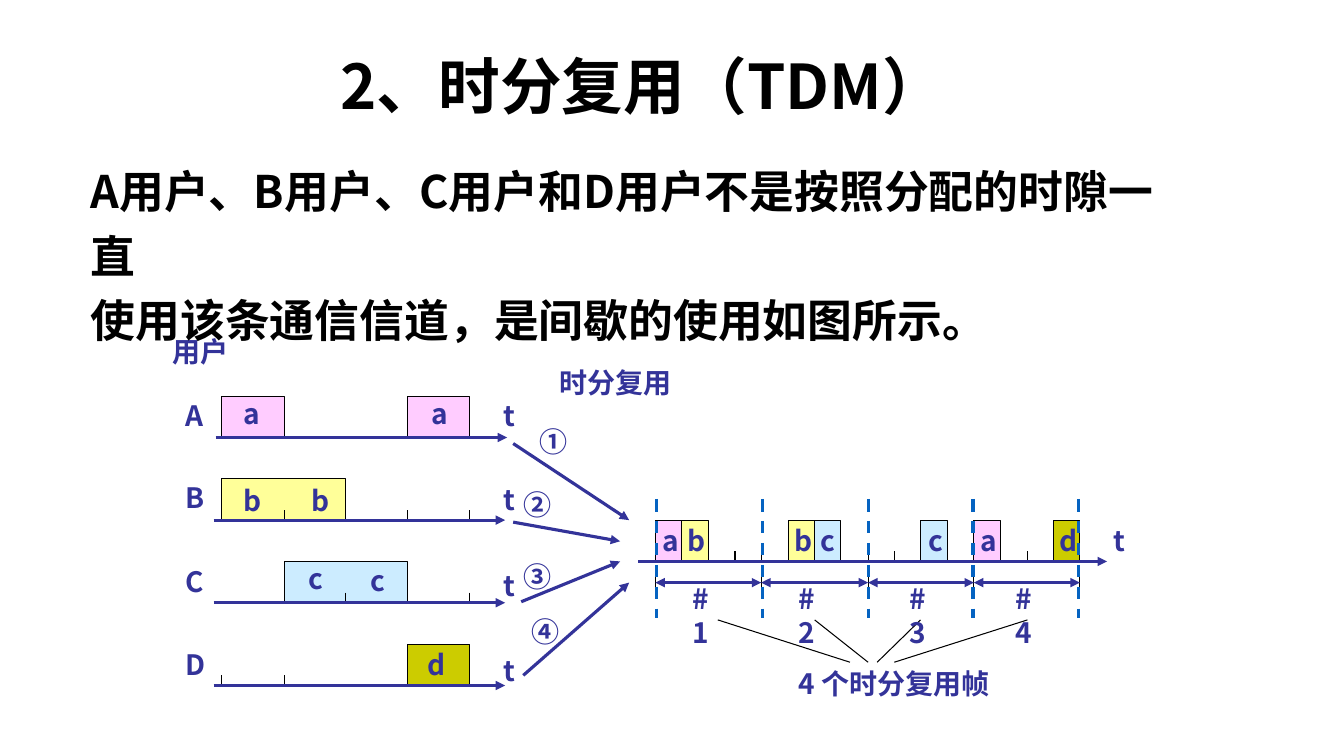
from dataclasses import dataclass

from lxml.etree import SubElement
from pptx import Presentation
from pptx.dml.color import RGBColor
from pptx.enum.dml import MSO_LINE
from pptx.enum.shapes import MSO_CONNECTOR
from pptx.enum.text import MSO_ANCHOR, PP_ALIGN
from pptx.oxml.ns import qn
from pptx.util import Emu, Pt

PX = 9144  # 100 px to the inch
FONT = "Noto Sans CJK SC"
COLORS = {
    "ink": "333399", "black": "000000", "dash": "0563C1",
    "a": "FFCCFF", "b": "FFFF99", "c": "CCECFF", "d": "CCCC00",
}
BOX_H = 41
TICK_H = 10
MUX_Y = 557


@dataclass
class Block:
    user: str
    left: int
    right: int
    base: int


@dataclass
class Label:
    text: str
    x: int
    y: int
    w: int = 36
    h: int = 44
    size: int = 20
    color: str = "ink"
    space: float = 1.0
    align: PP_ALIGN = PP_ALIGN.LEFT
    anchor: MSO_ANCHOR = MSO_ANCHOR.TOP


@dataclass
class Line:
    x1: int
    y1: int
    x2: int
    y2: int
    color: str = "black"
    width: float = 0.75
    head: bool = False
    tail: bool = False
    dash: bool = False


def rgb(name: str) -> RGBColor:
    return RGBColor.from_string(COLORS[name])


def user_x(slot: int) -> int:
    return 220 + round(61.5 * slot)


def user_y(row: int) -> int:
    return 434 + 82 * row


def mux_x(slot: int) -> int:
    return 650 + round(26.34 * slot)


def arrow(x1: int, y1: int, x2: int, y2: int, head: bool = False) -> Line:
    return Line(x1, y1, x2, y2, "ink", 2.25, head, True)


def tick(x: int, base: int) -> Line:
    return Line(x, base - TICK_H, x, base)


def draw_block(slide, item: Block) -> None:
    top = item.base - BOX_H
    pen = slide.shapes.build_freeform(item.left, item.base, scale=PX)
    pen.add_line_segments(
        [(item.left, top), (item.right, top), (item.right, item.base)], close=False)
    shape = pen.convert_to_shape()
    shape.shadow.inherit = False
    shape.fill.solid()
    shape.fill.fore_color.rgb = rgb(item.user)
    shape.line.color.rgb = rgb("black")
    shape.line.width = Pt(0.75)


def draw_line(slide, item: Line) -> None:
    ends = [Emu(v * PX) for v in (item.x1, item.y1, item.x2, item.y2)]
    wire = slide.shapes.add_connector(MSO_CONNECTOR.STRAIGHT, *ends)
    wire.line.color.rgb = rgb(item.color)
    wire.line.width = Pt(item.width)
    if item.dash:
        wire.line.dash_style = MSO_LINE.DASH
    props = wire._element.spPr
    for name, shown in (("a:headEnd", item.head), ("a:tailEnd", item.tail)):
        if shown:
            SubElement(props.find(qn("a:ln")), qn(name), type="triangle")
    SubElement(props, qn("a:effectLst"))


def draw_label(slide, item: Label) -> None:
    area = [Emu(v * PX) for v in (item.x, item.y, item.w, item.h)]
    frame = slide.shapes.add_textbox(*area).text_frame
    frame.word_wrap = True
    frame.vertical_anchor = item.anchor
    frame.text = item.text
    for para in frame.paragraphs:
        para.alignment = item.align
        para.line_spacing = item.space
        font = para.font
        font.name = FONT
        font.size = Pt(item.size)
        font.bold = True
        font.color.rgb = rgb(item.color)
        # East Asian text takes the same face
        SubElement(para._p.pPr.find(qn("a:defRPr")), qn("a:ea"), typeface=FONT)


def get_blocks() -> list[Block]:
    users = [("a", 0, 1, 0), ("a", 3, 4, 0), ("b", 0, 2, 1), ("c", 1, 3, 2), ("d", 3, 4, 3)]
    slots = [("a", 0), ("b", 1), ("b", 5), ("c", 6), ("c", 10), ("a", 12), ("d", 15)]
    return [Block(u, user_x(s), user_x(e), user_y(r)) for u, s, e, r in users] + [
        Block(u, mux_x(s), mux_x(s + 1), MUX_Y) for u, s in slots]


def get_lines() -> list[Line]:
    # Slot ticks
    marks = {1: (1, 3, 4), 2: (2, 4), 3: (0, 1, 3)}
    lines = [tick(user_x(s), user_y(r)) for r, row in marks.items() for s in row]
    lines += [tick(mux_x(s), MUX_Y) for s in (2, 3, 4, 8, 9, 14)]
    # Frame spans and their end marks
    edges = [mux_x(4 * i) for i in range(5)]
    lines += [Line(x, 567, x, 588) for x in edges]
    lines += [arrow(x, 578, end, 578, True) for x, end in zip(edges, edges[1:])]
    # Time axes
    lines += [arrow(x, user_y(r), x + 289, user_y(r))
              for r, x in enumerate((214, 212, 212, 212))]
    lines.append(arrow(633, MUX_Y, 1098, MUX_Y))
    # Users to channel
    lines += [arrow(*ends) for ends in (
        (509, 440, 624, 516), (509, 518, 615, 537),
        (517, 597, 615, 557), (519, 670, 624, 578))]
    # Frame numbers to caption
    lines += [Line(x, 615, end, 657) for x, end in (
        (712, 843), (808, 861), (913, 870), (1019, 887))]
    return lines


def get_labels() -> list[Label]:
    labels = [Label(name, 174, 390 + round(82.3 * r)) for r, name in enumerate("ABCD")]
    labels += [Label("t", 490, 390 + round(84.3 * r)) for r in range(4)]
    labels.append(Label("t", 1095, 514))
    # Letters on user blocks
    labels += [Label(*spot) for spot in (
        ("a", 232, 388), ("a", 418, 388), ("b", 232, 475), ("b", 299, 475),
        ("c", 296, 552), ("c", 358, 554), ("d", 414, 637))]
    # Letters on channel slots
    labels += [Label(name, x, 514) for name, x in (
        ("a", 647), ("b", 672), ("b", 778), ("c", 804), ("c", 911), ("a", 963), ("d", 1041))]
    # Order marks and frame numbers
    labels += [Label(name, x, y, 48) for name, x, y in (
        ("①", 525, 416), ("②", 509, 479), ("③", 509, 550), ("④", 517, 605))]
    labels += [Label(f"#{n}", x, 572, 49) for n, x in enumerate((677, 782, 892, 997), 1)]
    # Captions
    labels += [Label("用户", 161, 327, 77), Label("时分复用", 545, 358, 133),
               Label("4 个时分复用帧", 782, 656, 218)]
    # Title and body
    labels += [
        Label("2、时分复用（TDM）", 62, 16, 1150, 145, 44, "black", 0.9,
              PP_ALIGN.CENTER, MSO_ANCHOR.MIDDLE),
        Label("A用户、B用户、C用户和D用户不是按照分配的时隙一直\n"
              "使用该条通信信道，是间歇的使用如图所示。",
              80, 147, 1102, 139, 32, "black", 1.2)]
    return labels


def main() -> None:
    deck = Presentation()
    deck.slide_width, deck.slide_height = Emu(1333 * PX), Emu(750 * PX)
    slide = deck.slides.add_slide(deck.slide_layouts[6])
    for block in get_blocks():
        draw_block(slide, block)
    for line in get_lines():
        draw_line(slide, line)
    for label in get_labels():
        draw_label(slide, label)
    # Frame borders
    for i in range(5):
        x = 651 + round(104.8 * i)
        draw_line(slide, Line(x, 495, x, 613, "dash", 2.25, dash=True))
    deck.save("out.pptx")


if __name__ == "__main__":
    main()
